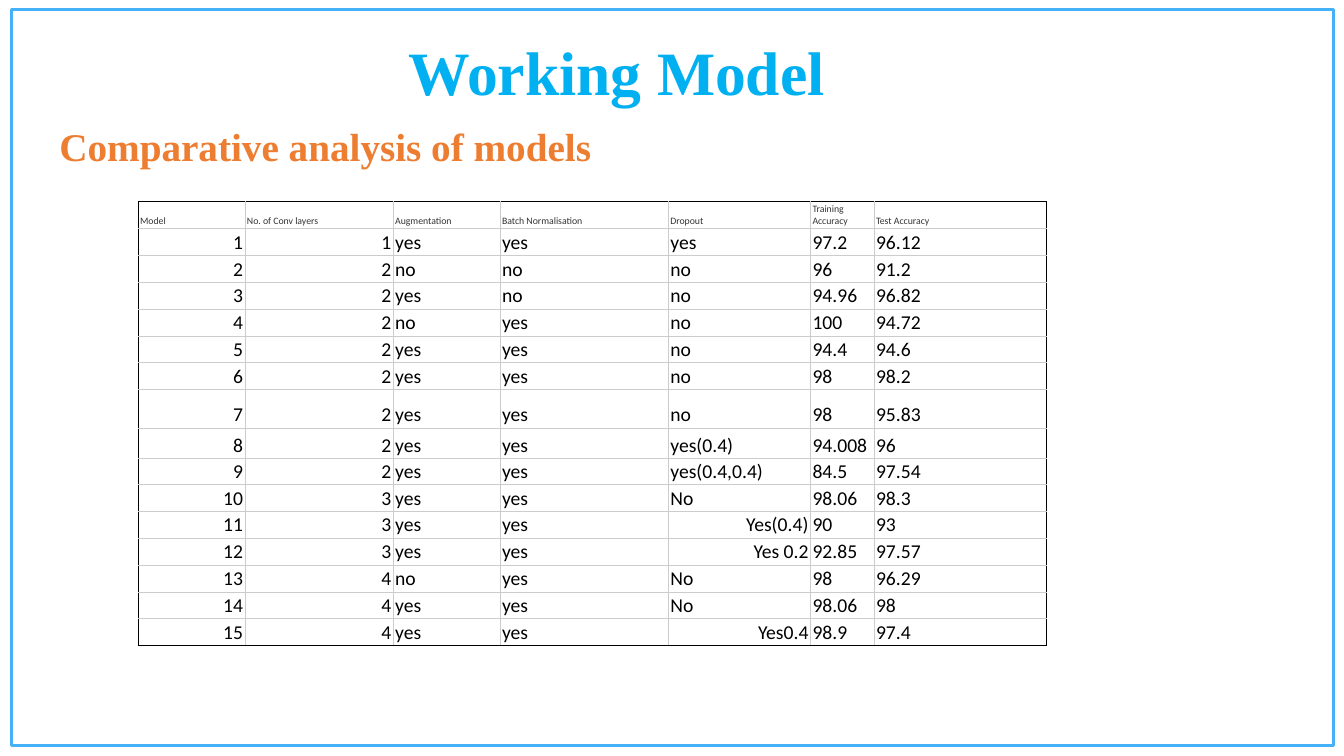
import pptx
import pptx.util
import pptx.dml.color
import pptx.enum.shapes
import pptx.enum.text
import pptx.oxml
import pptx.oxml.ns

Inches = pptx.util.Inches
Pt = pptx.util.Pt
RGBColor = pptx.dml.color.RGBColor
ALIGN = pptx.enum.text.PP_ALIGN

FRAME_BLUE = RGBColor(0x46, 0xB0, 0xF9)
TITLE_BLUE = RGBColor(0x00, 0xB0, 0xF0)
ORANGE = RGBColor(0xED, 0x7D, 0x31)
HEADER_GRAY = RGBColor(0x33, 0x33, 0x33)
GRID_GRAY = RGBColor(0xCC, 0xCC, 0xCC)
BLACK = RGBColor(0x00, 0x00, 0x00)
WHITE = RGBColor(0xFF, 0xFF, 0xFF)

HEADERS = ["Model", "No. of Conv layers", "Augmentation", "Batch Normalisation",
           "Dropout", "Training Accuracy", "Test Accuracy"]
RESULTS = [
    ["1", "yes", "yes", "yes", "97.2", "96.12"],
    ["2", "no", "no", "no", "96", "91.2"],
    ["2", "yes", "no", "no", "94.96", "96.82"],
    ["2", "no", "yes", "no", "100", "94.72"],
    ["2", "yes", "yes", "no", "94.4", "94.6"],
    ["2", "yes", "yes", "no", "98", "98.2"],
    ["2", "yes", "yes", "no", "98", "95.83"],
    ["2", "yes", "yes", "yes(0.4)", "94.008", "96"],
    ["2", "yes", "yes", "yes(0.4,0.4)", "84.5", "97.54"],
    ["3", "yes", "yes", "No", "98.06", "98.3"],
    ["3", "yes", "yes", "Yes(0.4)", "90", "93"],
    ["3", "yes", "yes", "Yes 0.2", "92.85", "97.57"],
    ["4", "no", "yes", "No", "98", "96.29"],
    ["4", "yes", "yes", "No", "98.06", "98"],
    ["4", "yes", "yes", "Yes0.4", "98.9", "97.4"],
]
RIGHT_ALIGNED_DROPOUT = {"Yes(0.4)", "Yes 0.2", "Yes0.4"}
COLUMN_WIDTHS = [1.06, 1.47, 1.06, 1.67, 1.41, 0.63, 1.71]
TABLE_HEIGHT = 4.41
SPECIAL_ROW_HEIGHTS = {7: 0.38, 8: 0.3, 9: 0.26}


def write(paragraph, text, alignment, size, name, color, bold=False):
    paragraph.alignment = alignment
    font = paragraph.add_run().font
    paragraph.runs[0].text = text
    for attribute, value in {"size": Pt(size), "name": name, "bold": bold}.items():
        setattr(font, attribute, value)
    font.color.rgb = color


def add_border(cell, side, color):
    """Draw one cell edge; side is L, R, T or B, in that order."""
    line = pptx.oxml.parse_xml(
        f'<a:ln{side} {pptx.oxml.ns.nsdecls("a")} w="{Pt(0.6)}"><a:solidFill>'
        f'<a:srgbClr val="{color}"/></a:solidFill></a:ln{side}>')
    cell._tc.get_or_add_tcPr().append(line)


presentation = pptx.Presentation()
presentation.slide_width = Inches(13.33)
presentation.slide_height = Inches(7.5)
slide = presentation.slides.add_slide(presentation.slide_layouts[6])

frame = slide.shapes.add_shape(
    pptx.enum.shapes.MSO_SHAPE.RECTANGLE,
    Inches(0.11), Inches(0.09), Inches(13.12), Inches(7.31))
frame.shadow.inherit = False
frame.fill.background()
frame.line.color.rgb = FRAME_BLUE
frame.line.width = Pt(2.25)

HEADINGS = [
    ("Comparative analysis of models", (0.49, 0.71, 10.83, 1.99), 0.5, ALIGN.LEFT, 28, ORANGE),
    ("Working Model", (0.49, 0.29, 11.26, 0.84), 0.05, ALIGN.CENTER, 44, TITLE_BLUE),
]
for text, place, margin_top, alignment, size, color in HEADINGS:
    text_frame = slide.shapes.add_textbox(*map(Inches, place)).text_frame
    text_frame.word_wrap = True
    text_frame.margin_top = Inches(margin_top)
    write(text_frame.paragraphs[0], text, alignment, size, "Times New Roman", color, True)

rows = [HEADERS] + [[str(model)] + result for model, result in enumerate(RESULTS, 1)]
last_row, last_column = len(rows) - 1, len(HEADERS) - 1
table = slide.shapes.add_table(
    len(rows), len(HEADERS), Inches(1.37), Inches(2),
    Inches(sum(COLUMN_WIDTHS)), Inches(TABLE_HEIGHT)).table
for column, width in zip(table.columns, COLUMN_WIDTHS):
    column.width = Inches(width)
regular_height = ((TABLE_HEIGHT - sum(SPECIAL_ROW_HEIGHTS.values()))
                  / (len(rows) - len(SPECIAL_ROW_HEIGHTS)))

CELL_FORMAT = {
    "vertical_anchor": pptx.enum.text.MSO_ANCHOR.BOTTOM,
    "margin_left": Inches(0.02), "margin_right": Inches(0.02),
    "margin_top": Inches(0.01), "margin_bottom": Inches(0.01),
}
for r, values in enumerate(rows):
    table.rows[r].height = Inches(SPECIAL_ROW_HEIGHTS.get(r, regular_height))
    for c, value in enumerate(values):
        cell = table.cell(r, c)
        for attribute, setting in CELL_FORMAT.items():
            setattr(cell, attribute, setting)
        outer_edges = {"L": c == 0, "R": c == last_column, "T": r == 0, "B": r == last_row}
        for side, is_outer in outer_edges.items():
            add_border(cell, side, BLACK if is_outer else GRID_GRAY)
        if r == 0:
            cell.fill.solid()
            cell.fill.fore_color.rgb = WHITE
        else:
            cell.fill.background()
        to_right = r > 0 and (c < 2 or value in RIGHT_ALIGNED_DROPOUT)
        write(cell.text_frame.paragraphs[0], value,
              ALIGN.RIGHT if to_right else ALIGN.LEFT,
              14 if r else 7, "Calibri", BLACK if r else HEADER_GRAY)

presentation.save("out.pptx")
